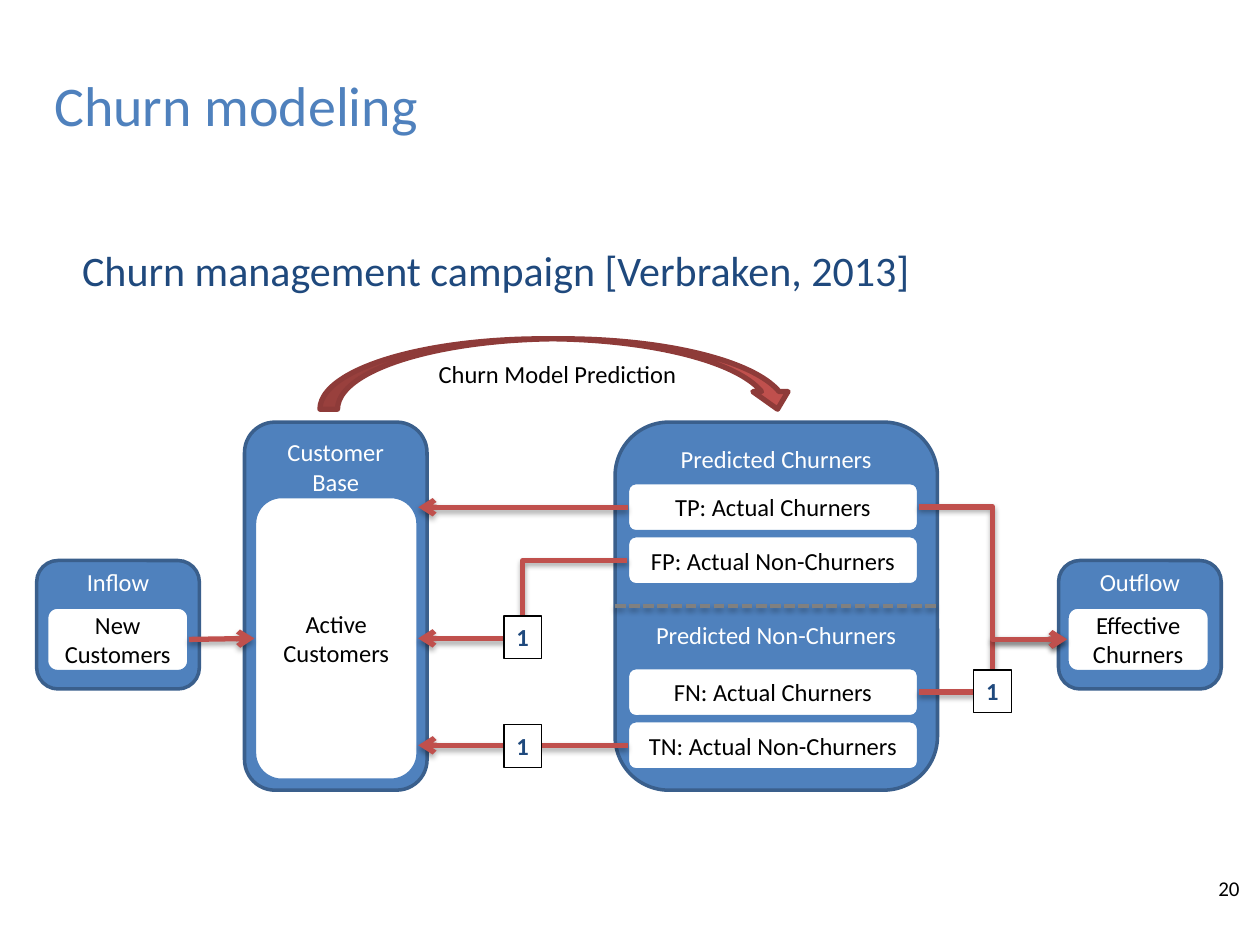
from lxml.etree import SubElement
from pptx import Presentation
from pptx.dml.color import RGBColor
from pptx.enum.dml import MSO_LINE
from pptx.enum.shapes import MSO_CONNECTOR, MSO_SHAPE
from pptx.enum.text import MSO_ANCHOR, MSO_AUTO_SIZE, PP_ALIGN
from pptx.oxml.ns import qn
from pptx.util import Cm, Pt

COLORS = {name: RGBColor.from_string(value) for name, value in {
    "blue": "4F81BD", "edge": "3A5F8C", "navy": "1F497D", "red": "C0504D",
    "dark red": "8E3B39", "gray": "808080", "white": "FFFFFF", "black": "000000",
}.items()}
TOP, LEFT, BOTTOM, RIGHT = range(4)


def write(shape, lines, color, size=14, bold=False, align=PP_ALIGN.CENTER, **frame_format):
    frame = shape.text_frame
    for key, value in {"word_wrap": True, "auto_size": MSO_AUTO_SIZE.NONE, **frame_format}.items():
        setattr(frame, key, value)
    frame.text = "\n".join(lines)
    for para in frame.paragraphs:
        para.alignment = align
        para.space_before = Pt(0)
        for span in para.runs:
            font_format = {"name": "Calibri", "size": Pt(size), "bold": bold}
            for key, value in font_format.items():
                setattr(span.font, key, value)
            span.font.color.rgb = COLORS[color]


def style_line(connector, color, width, arrow=True):
    connector.line.color.rgb = COLORS[color]
    connector.line.width = Pt(width)
    properties = connector._element.spPr
    if arrow:
        SubElement(connector.line._get_or_add_ln(), qn("a:tailEnd"), type="arrow")
    effects = SubElement(properties, qn("a:effectLst"))
    shadow = SubElement(effects, qn("a:outerShdw"), blurRad="40000", dist="23000",
                        dir="5400000", rotWithShape="0")
    shade = SubElement(shadow, qn("a:srgbClr"), val=str(COLORS["black"]))
    SubElement(shade, qn("a:alpha"), val="35000")


deck = Presentation()
deck.slide_width, deck.slide_height = Cm(25.4), Cm(19.05)
page = deck.slides.add_slide(deck.slide_layouts[1])
shapes = page.shapes

# Title, campaign heading and page number
title, body = page.placeholders
number = shapes.add_textbox(Cm(24.31), Cm(17.53), Cm(1.09), Cm(1.02))
for box, bounds in ((title, (0.84, 1.3, 7.92, 1.63)), (body, (1.4, 3.76, 22.3, 14.55))):
    box.left, box.top, box.width, box.height = map(Cm, bounds)
write(title, ["Churn modeling"], "blue", 32, align=PP_ALIGN.LEFT,
      word_wrap=False, vertical_anchor=MSO_ANCHOR.TOP)
write(body, ["Churn management campaign [Verbraken, 2013]"], "navy", 24,
      align=PP_ALIGN.JUSTIFY, margin_top=Cm(1.17), vertical_anchor=MSO_ANCHOR.TOP)
heading = body.text_frame.paragraphs[0]._p.get_or_add_pPr()
heading.set("marL", "0")
heading.set("indent", "0")
SubElement(heading, qn("a:buNone"))
write(number, ["20"], "black", 12, align=PP_ALIGN.LEFT, word_wrap=False)

# Blue groups, then the white boxes inside them
groups = [
    (["Inflow"], 0.74, 11.3, 3.28, 2.59, 0),
    (["Customer Base"], 4.93, 8.51, 3.68, 7.42, 0.13),
    (["Predicted Churners", "Predicted Non-Churners"], 12.4, 8.51, 6.5, 7.42, 0.13),
    (["Outflow"], 21.34, 11.3, 3.28, 2.59, 0),
]
members = [
    ("New Customers", 0.94, 12.24, 2.87, 1.3),
    ("Active Customers", 5.13, 10.01, 3.3, 5.72),
    ("TP: Actual Churners", 12.65, 9.73, 5.87, 0.99),
    ("FP: Actual Non-Churners", 12.65, 10.8, 5.87, 0.99),
    ("FN: Actual Churners", 12.65, 13.46, 5.87, 0.99),
    ("TN: Actual Non-Churners", 12.65, 14.53, 5.87, 0.99),
    ("Effective Churners", 21.51, 12.24, 2.87, 1.3),
]
boxes = {}
panels = [(lines, bounds, "blue", "edge", "white",
           {"vertical_anchor": MSO_ANCHOR.TOP, "margin_top": Cm(margin)})
          for lines, *bounds, margin in groups]
panels += [([label], bounds, "white", "blue", "black", {"vertical_anchor": MSO_ANCHOR.MIDDLE})
           for label, *bounds in members]
for lines, bounds, fill, edge, color, frame_format in panels:
    box = shapes.add_shape(MSO_SHAPE.ROUNDED_RECTANGLE, *map(Cm, bounds))
    box.shadow.inherit = False
    box.fill.solid()
    box.fill.fore_color.rgb = COLORS[fill]
    box.line.color.rgb = COLORS[edge]
    box.line.width = Pt(2)
    write(box, lines, color, **frame_format)
    boxes[lines[0].split(":")[0]] = box
predicted = boxes["Predicted Churners"]
predicted.text_frame.paragraphs[1].space_before = Pt(83.5)

# Curved prediction arrow
prediction = shapes.add_shape(MSO_SHAPE.CURVED_DOWN_ARROW, Cm(6.45), Cm(6.83), Cm(9.58), Cm(1.42))
prediction.shadow.inherit = False
prediction.fill.solid()
prediction.fill.fore_color.rgb = COLORS["red"]
prediction.line.color.rgb = COLORS["dark red"]
prediction.line.width = Pt(3)
write(prediction, ["Churn Model Prediction"], "black", vertical_anchor=MSO_ANCHOR.MIDDLE)

# Divider between the two predicted classes
divider = shapes.add_connector(MSO_CONNECTOR.STRAIGHT, 0, 0, 0, 0)
divider.begin_connect(predicted, LEFT)
divider.end_connect(predicted, RIGHT)
style_line(divider, "gray", 2, arrow=False)
divider.line.dash_style = MSO_LINE.SQUARE_DOT

# Straight flows
inflow = shapes.add_connector(MSO_CONNECTOR.STRAIGHT, 0, 0, 0, 0)
inflow.begin_connect(boxes["New Customers"], RIGHT)
inflow.end_connect(boxes["Active Customers"], LEFT)
style_line(inflow, "red", 3)
for label in ("TP", "TN"):
    source = boxes[label]
    middle = source.top + source.height // 2
    flow = shapes.add_connector(MSO_CONNECTOR.STRAIGHT, source.left, middle, Cm(8.43), middle)
    flow.begin_connect(source, LEFT)
    style_line(flow, "red", 3)

# Bent flows
for start_x, start_y, end_x, end_y in (
    (18.52, 13.95, 21.51, 12.89),
    (18.52, 10.22, 21.51, 12.89),
    (12.65, 11.3, 8.43, 12.87),
):
    flow = shapes.add_connector(MSO_CONNECTOR.ELBOW, Cm(start_x), Cm(start_y), Cm(end_x), Cm(end_y))
    style_line(flow, "red", 3)

# Probability badges on the flows
for left, top in ((10.16, 14.61), (19.63, 13.51), (10.16, 12.42)):
    badge = shapes.add_shape(MSO_SHAPE.RECTANGLE, Cm(left), Cm(top), Cm(0.76), Cm(0.86))
    badge.shadow.inherit = False
    badge.fill.solid()
    badge.fill.fore_color.rgb = COLORS["white"]
    badge.line.color.rgb = COLORS["black"]
    badge.line.width = Pt(0.75)
    write(badge, ["1"], "navy", bold=True, align=PP_ALIGN.LEFT,
          word_wrap=False, vertical_anchor=MSO_ANCHOR.TOP)

deck.save("out.pptx")
